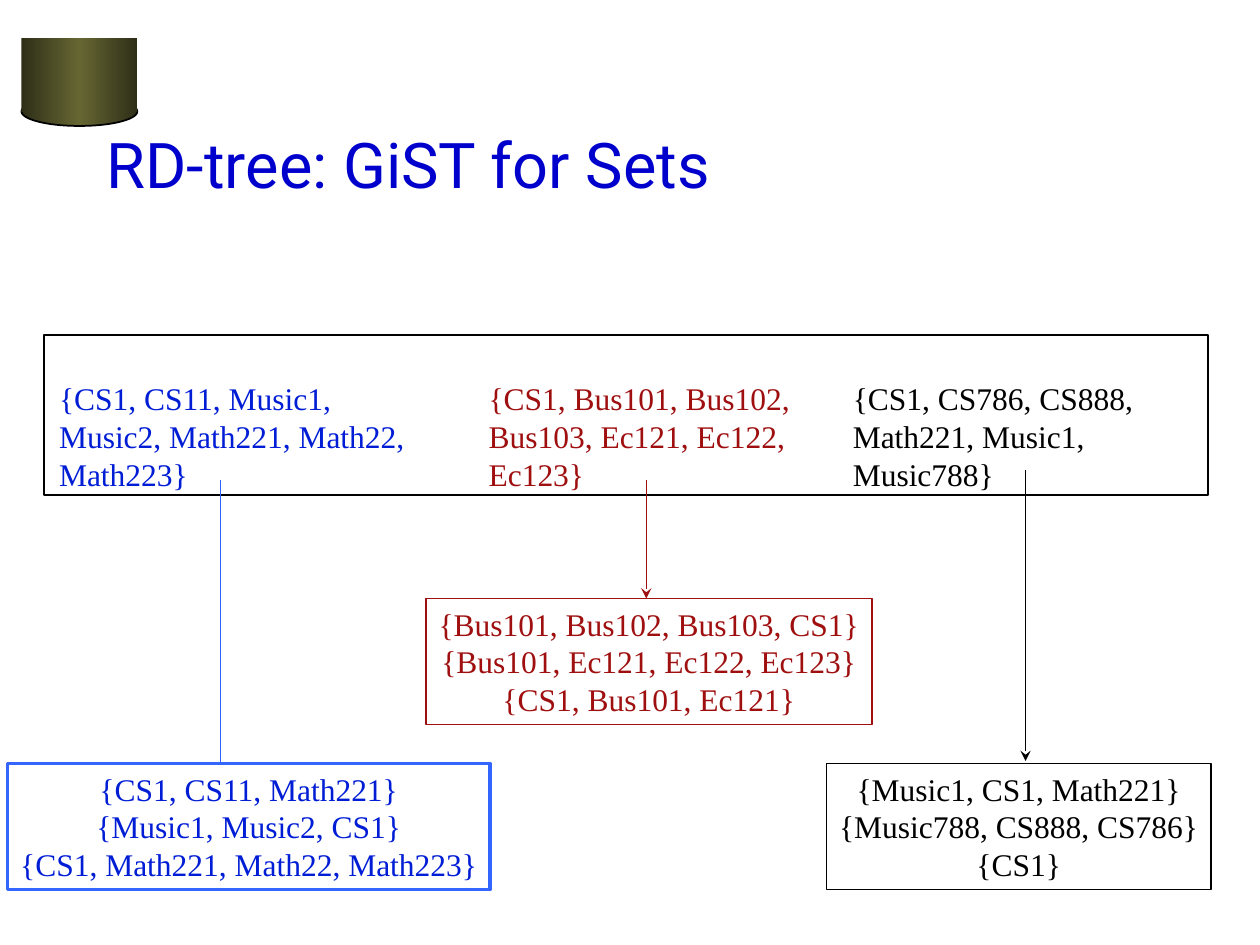
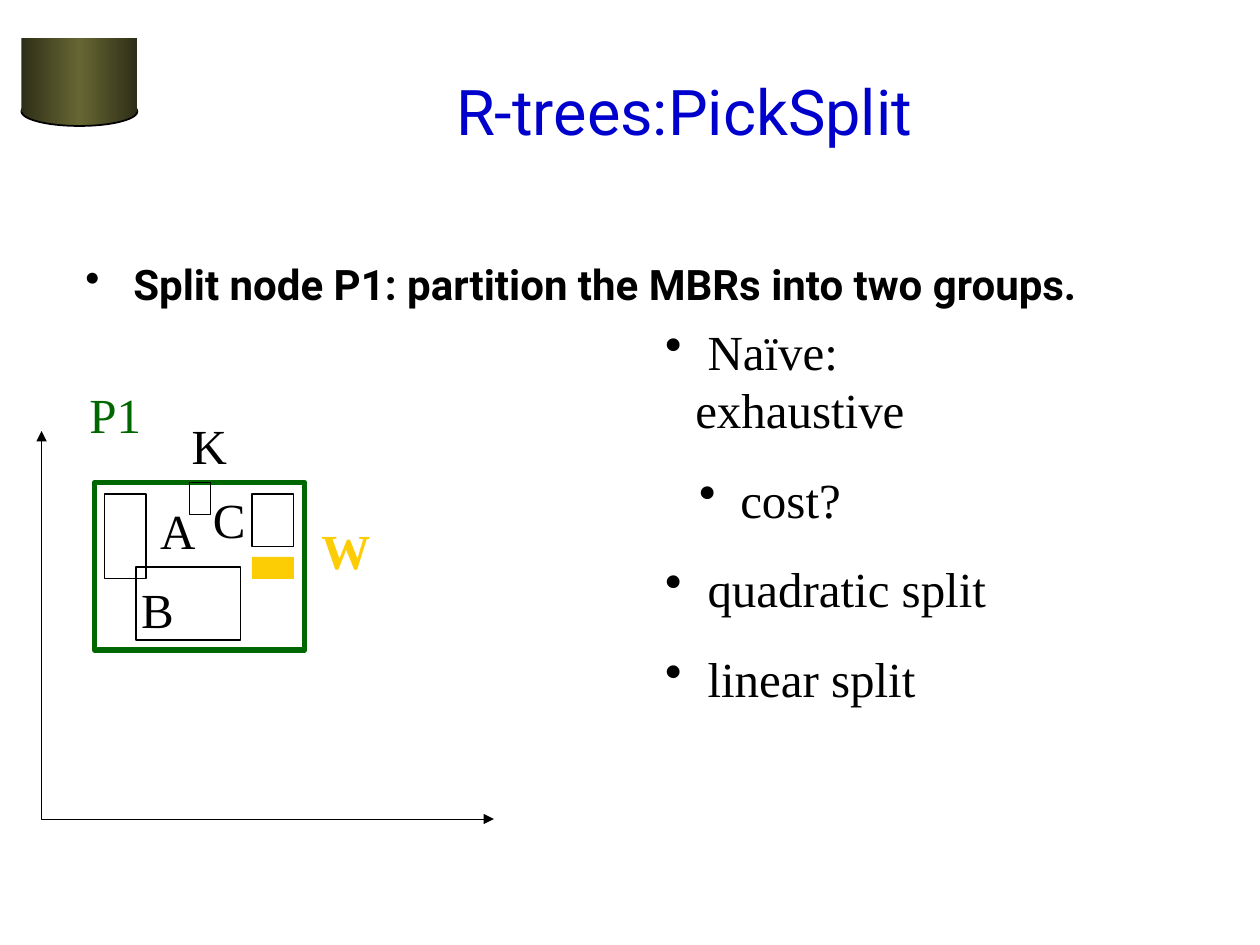
from copy import deepcopy
from pptx import Presentation
from pptx.dml.color import RGBColor as RGB
from pptx.enum.shapes import MSO_CONNECTOR as Conn, MSO_SHAPE as Shape
from pptx.enum.text import MSO_ANCHOR as Anchor, PP_ALIGN as Align
from pptx.oxml.ns import qn
from pptx.util import Inches, Pt
from lxml.etree import SubElement as Sub

BLACK = RGB(0x00, 0x00, 0x00)
WHITE = RGB(0xFF, 0xFF, 0xFF)
TITLE = RGB(0x00, 0x00, 0xCC)
BLUE = RGB(0x00, 0x1D, 0xD6)
FRAME = RGB(0x33, 0x66, 0xFF)
ARROW = RGB(0x2D, 0x61, 0xFE)
RED = RGB(0x9F, 0x0F, 0x0F)
GREEN = RGB(0x00, 0x66, 0x00)
GOLD = RGB(0xFC, 0xCD, 0x04)
DARK = RGB(0x2F, 0x2F, 0x18)
OLIVE = RGB(0x66, 0x66, 0x33)
SERIF, SANS = "Times New Roman", "Roboto"


def write(frame, lines, size=18, color=BLACK, font=SERIF, bold=False,
          align=Align.LEFT, anchor=Anchor.TOP, wrap=False, gap=0, hang=()):
    """Fill a frame; hang gives a (margin, hanging indent) for each bullet."""
    frame.word_wrap = wrap
    frame.vertical_anchor = anchor
    for i, line in enumerate(lines):
        par = frame.paragraphs[0] if i == 0 else frame.add_paragraph()
        par.alignment = align
        if i:
            par.space_before = Pt(gap)
        if hang:
            left, back = hang[i]
            props = par._p.get_or_add_pPr()
            props.set("marL", str(Inches(left)))
            props.set("indent", str(-Inches(back)))
            Sub(props, qn("a:buChar"), char="•")
        run = par.add_run()
        run.text = line
        run.font.size, run.font.name, run.font.bold = Pt(size), font, bold
        run.font.color.rgb = color


class Deck:
    def __init__(self):
        self.prs = Presentation()
        self.prs.slide_width, self.prs.slide_height = Inches(10), Inches(7.5)

    def slide(self, title, at, align=Align.LEFT):
        self.page = self.prs.slides.add_slide(self.prs.slide_layouts[6])
        self.shapes = self.page.shapes
        # Cylinder in the corner
        self.shade(self.box((0.17, 0.77, 0.92, 0.23), BLACK, 1, kind=Shape.OVAL))
        self.shade(self.box((0.17, 0.3, 0.92, 0.59), None))
        self.text([title], at, size=36, color=TITLE, font=SANS, align=align,
                  anchor=Anchor.MIDDLE, wrap=True)

    def shade(self, shape):
        shape.fill.gradient()
        shape.fill.gradient_angle = 0
        for stop in shape.fill.gradient_stops:
            stop.color.rgb = DARK
        first = shape._element.spPr.find(".//" + qn("a:gs"))
        first.addnext(deepcopy(first))
        mid = shape.fill.gradient_stops[1]
        mid.position, mid.color.rgb = 0.5, OLIVE

    def box(self, at, line=BLACK, width=0.75, fill=None, kind=Shape.RECTANGLE):
        shape = self.shapes.add_shape(kind, *map(Inches, at))
        shape.shadow.inherit = False
        if fill is None:
            shape.fill.background()
        else:
            shape.fill.solid()
            shape.fill.fore_color.rgb = fill
        if line is None:
            shape.line.fill.background()
        else:
            self.stroke(shape, line, width)
        return shape

    def text(self, lines, at, **style):
        write(self.shapes.add_textbox(*map(Inches, at)).text_frame, lines, **style)

    def stroke(self, shape, color, width, **ends):
        shape.line.color.rgb = color
        shape.line.width = Pt(width)
        for end, kind in ends.items():
            Sub(shape._element.spPr.get_or_add_ln(), qn(f"a:{end}End"), type=kind)

    def arrow(self, x, top, foot, color, width):
        line = self.shapes.add_connector(Conn.STRAIGHT, *map(Inches, (x, top, x, foot)))
        self.stroke(line, color, width, tail="stealth")
        Sub(line._element.spPr, qn("a:effectLst"))

    def axes(self, top, *rest):
        path = self.shapes.build_freeform(*map(Inches, top))
        path.add_line_segments([tuple(map(Inches, p)) for p in rest], close=False)
        shape = path.convert_to_shape()
        shape.shadow.inherit = False
        shape.fill.background()
        self.stroke(shape, BLACK, 0.25, head="triangle", tail="triangle")


def sets(deck):
    deck.slide("RD-tree: GiST for Sets", (0.75, 0.67, 8.5, 1.25))

    # Root node with three keys
    deck.box((0.35, 2.66, 9.24, 1.27), width=1)
    keys = [
        (0.37, 3.19, BLUE, "{CS1, CS11, Music1, Music2, Math221, Math22, Math223}"),
        (3.78, 3.03, RED, "{CS1, Bus101, Bus102, Bus103, Ec121, Ec122, Ec123}"),
        (6.67, 2.9, BLACK, "{CS1, CS786, CS888, Math221, Music1, Music788}"),
    ]
    for left, wide, color, key in keys:
        deck.text([key], (left, 2.96, wide, 1), color=color, wrap=True)

    # Arrows, then the leaf nodes
    deck.arrow(1.75, 3.81, 6.13, ARROW, 0.75)
    deck.arrow(5.13, 3.81, 4.75, RED, 1)
    deck.arrow(8.14, 3.73, 6.04, BLACK, 1)
    leaves = [
        ((3.38, 4.75, 3.54, 1), RED, RED, 1, None,
         ["{Bus101, Bus102, Bus103, CS1}", "{Bus101, Ec121, Ec122, Ec123}",
          "{CS1, Bus101, Ec121}"]),
        ((0.06, 6.06, 3.83, 1), BLUE, FRAME, 2, WHITE,
         ["{CS1, CS11, Math221}", "{Music1, Music2, CS1}",
          "{CS1, Math221, Math22, Math223}"]),
        ((6.56, 6.06, 3.05, 1), BLACK, BLACK, 1, None,
         ["{Music1, CS1, Math221}", "{Music788, CS888, CS786}", "{CS1}"]),
    ]
    for at, color, edge, width, fill, rows in leaves:
        leaf = deck.box(at, edge, width, fill)
        write(leaf.text_frame, rows, color=color, align=Align.CENTER)


def split(deck):
    deck.slide("R-trees:PickSplit", (1.17, 0.58, 8.52, 0.59), Align.CENTER)
    deck.text(["Split node P1: partition the MBRs into two groups."],
              (0.58, 2, 9.21, 4.71), size=24, font=SANS, bold=True, wrap=True,
              hang=[(0.38, 0.38)])

    # Node P1 and its entries
    deck.box((0.75, 3.83, 1.67, 1.33), GREEN, 3)
    for at in [(0.83, 3.92, 0.33, 0.67), (2, 3.92, 0.33, 0.42), (1.08, 4.5, 0.83, 0.58)]:
        deck.box(at)
    deck.box((2, 4.42, 0.33, 0.17), GOLD, 0.25, GOLD)
    deck.box((1.5, 3.83, 0.17, 0.25), width=0.25)
    deck.axes((0.33, 3.42), (0.33, 6.5), (3.92, 6.5))

    # Entry names
    names = [("A", 1.17, 3.92, 0.48, BLACK), ("B", 1.02, 4.55, 0.46, BLACK),
             ("C", 1.59, 3.83, 0.46, BLACK), ("W", 2.45, 4.08, 0.59, GOLD),
             ("K", 1.42, 3.25, 0.48, BLACK), ("P1", 0.61, 3, 0.61, GREEN)]
    for name, left, top, wide, color in names:
        deck.text([name], (left, top, wide, 0.57), size=28, color=color,
                  bold=color == GOLD, align=Align.CENTER, anchor=Anchor.MIDDLE)

    # Ways to split
    deck.text([" Naïve: exhaustive", " cost?", " quadratic split", " linear split"],
              (5.18, 2.73, 3.22, 2.7), size=28, anchor=Anchor.MIDDLE, wrap=True,
              gap=17.5, hang=[(0.24, 0.24), (0.5, 0.23), (0.24, 0.24), (0.24, 0.24)])


def main():
    deck = Deck()
    sets(deck)
    split(deck)
    deck.prs.save("out.pptx")


if __name__ == "__main__":
    main()
